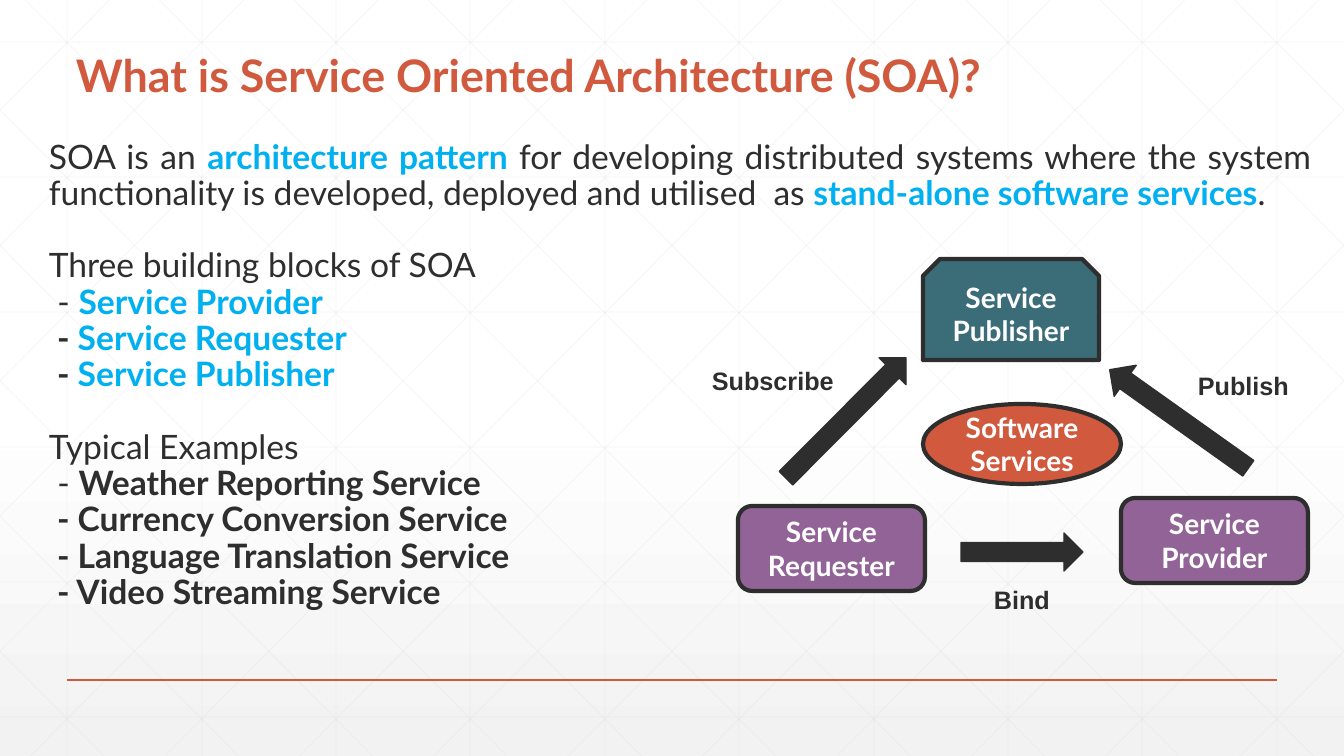
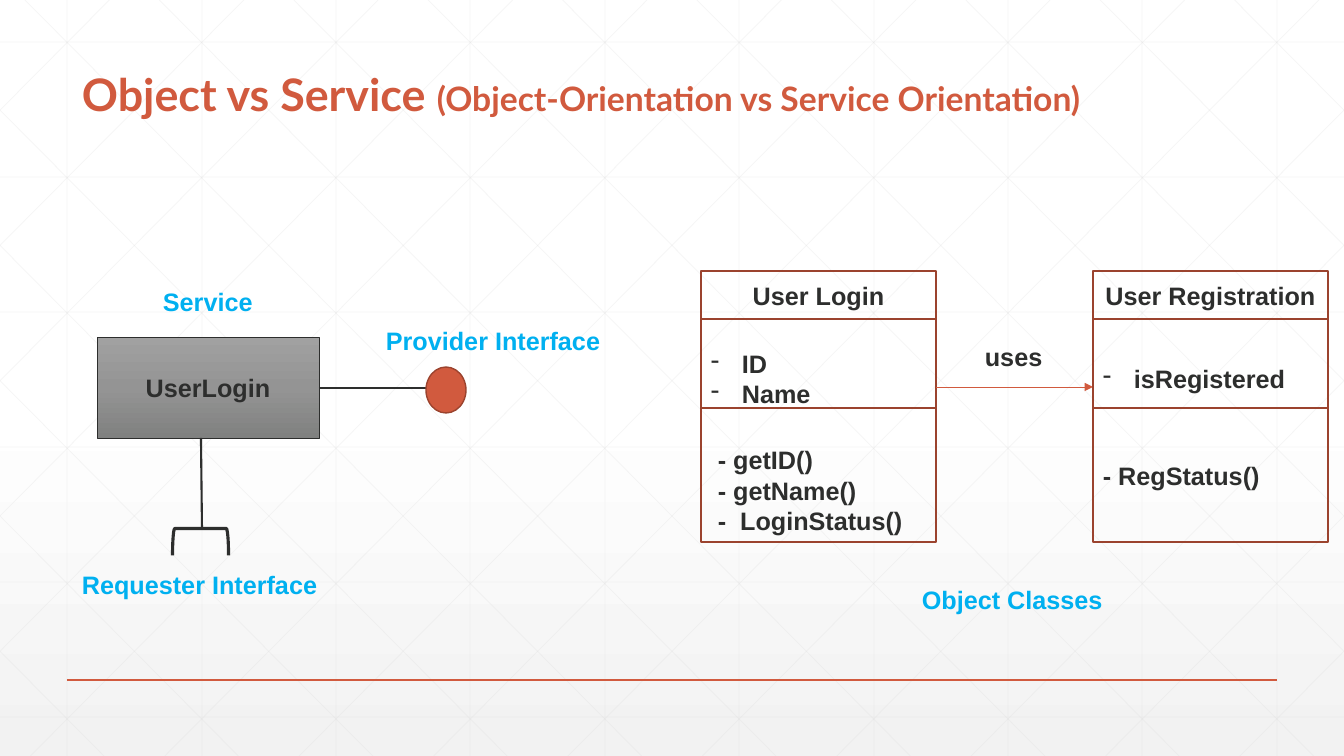
import lxml.etree
import pptx
import pptx.dml.color
import pptx.enum.shapes
import pptx.enum.text
import pptx.oxml.ns
import pptx.util

EMU_PER_PX = 914400 / 100.8
WIDTH, HEIGHT = 1344, 756

RGB = pptx.dml.color.RGBColor
SHAPE = pptx.enum.shapes.MSO_SHAPE
ALIGN = pptx.enum.text.PP_ALIGN
ANCHOR = pptx.enum.text.MSO_ANCHOR
qn = pptx.oxml.ns.qn

INK = RGB(0x2D, 0x2E, 0x2D)
ACCENT = RGB(0xD1, 0x5A, 0x3E)
ACCENT_DARK = RGB(0x9B, 0x43, 0x2E)
SKY = RGB(0x00, 0xB0, 0xF0)
PURPLE = RGB(0x92, 0x63, 0x97)
TEAL = RGB(0x3B, 0x6D, 0x79)
WHITE = RGB(0xFF, 0xFF, 0xFF)
GRID = RGB(0xD9, 0xD9, 0xD9)
PALE = RGB(0xF2, 0xF2, 0xF2)
STEEL = [(0, RGB(0xA1, 0xA1, 0xA1)), (50, RGB(0x94, 0x94, 0x94)), (100, RGB(0x80, 0x81, 0x80))]
BACKDROP = [(0, WHITE), (53, WHITE), (100, PALE)]

HEADING_FONT, LABEL_FONT = "Lato", "Arial"


def px(length):
    return pptx.util.Emu(round(length * EMU_PER_PX))


class Slides:
    """Hold the deck, its style and the slide being drawn."""

    def __init__(self):
        self.deck = pptx.Presentation()
        self.deck.slide_width, self.deck.slide_height = px(WIDTH), px(HEIGHT)
        self.new_page()
        self.dress_master()

    def new_page(self):
        self.page = self.deck.slides.add_slide(self.deck.slide_layouts[6])

    def dress_master(self):
        master = self.deck.slide_master
        self.gradient(master.background.fill, master.element, BACKDROP)
        for column in range(10):
            x = round(67.2 + 134.4 * column)
            self.grid_line(x, 0, x, HEIGHT)
        for row in range(6):
            y = 42 + 135 * row
            self.grid_line(0, y, WIDTH, y)
        slope = 751 / HEIGHT
        for step in range(-5, 10):
            origin = 25 + 134.4 * step
            top = max(0, -origin / slope)
            bottom = min(HEIGHT, (WIDTH - origin) / slope)
            left, right = origin + slope * top, origin + slope * bottom
            self.grid_line(left, top, right, bottom)
            self.grid_line(WIDTH - left, top, WIDTH - right, bottom)
        self.line(67, 680, 1277, 680, ACCENT, 1)
        for number, shape in enumerate(list(self.page.shapes), 100):
            shape.element.nvCxnSpPr.cNvPr.set("id", str(number))
            master.element.cSld.spTree.append(shape.element)

    def gradient(self, fill, owner, stops):
        fill.gradient()
        fill.gradient_angle = 270
        stop_list = owner.find(".//" + qn("a:gsLst"))
        for stop in list(stop_list):
            stop_list.remove(stop)
        for position, color in stops:
            stop = lxml.etree.SubElement(stop_list, qn("a:gs"), pos=str(position * 1000))
            lxml.etree.SubElement(stop, qn("a:srgbClr"), val=str(color))

    def line(self, x1, y1, x2, y2, color, weight, arrow=False):
        line = self.page.shapes.add_connector(
            pptx.enum.shapes.MSO_CONNECTOR.STRAIGHT, px(x1), px(y1), px(x2), px(y2))
        line.line.color.rgb = color
        line.line.width = pptx.util.Pt(weight)
        properties = line.element.spPr
        if arrow:
            lxml.etree.SubElement(properties.find(qn("a:ln")), qn("a:tailEnd"), type="triangle")
        lxml.etree.SubElement(properties, qn("a:effectLst"))
        return line

    def grid_line(self, x1, y1, x2, y2):
        line = self.line(x1, y1, x2, y2, GRID, 0.5)
        color = line.element.spPr.find(".//" + qn("a:srgbClr"))
        lxml.etree.SubElement(color, qn("a:alpha"), val="25000")

    def shape(self, kind, left, top, width, height, fill, outline, weight, rotation=0):
        shape = self.page.shapes.add_shape(kind, px(left), px(top), px(width), px(height))
        shape.shadow.inherit = False
        shape.rotation = rotation
        if fill is None:
            shape.fill.background()
        elif isinstance(fill, list):
            self.gradient(shape.fill, shape.element, fill)
        else:
            shape.fill.solid()
            shape.fill.fore_color.rgb = fill
        shape.line.color.rgb = outline
        shape.line.width = pptx.util.Pt(weight)
        return shape

    def text_box(self, left, top, width, height, wrap=True):
        box = self.page.shapes.add_textbox(px(left), px(top), px(width), px(height))
        box.text_frame.word_wrap = wrap
        return box

    def paragraph(self, box, first, align=ALIGN.LEFT, spacing=None, before=0):
        frame = box.text_frame
        para = frame.paragraphs[0] if first else frame.add_paragraph()
        para.alignment = align
        if spacing:
            para.line_spacing = spacing
        if before:
            para.space_before = pptx.util.Pt(before)
        return para

    def run(self, para, text, size=18, color=INK, bold=True, font=LABEL_FONT):
        span = para.add_run()
        span.text = text
        span.font.size = pptx.util.Pt(size)
        span.font.name = font
        span.font.bold = bold
        span.font.color.rgb = color

    def title(self, left, bottom, *parts):
        box = self.text_box(left, 0, 1202, bottom)
        box.text_frame.vertical_anchor = ANCHOR.BOTTOM
        para = self.paragraph(box, True, spacing=0.9)
        for text, size in parts:
            self.run(para, text, size, ACCENT, font=HEADING_FONT)

    def body(self, left, top, width, height, paragraphs):
        box = self.text_box(left, top, width, height)
        for index, (before, parts) in enumerate(paragraphs):
            para = self.paragraph(box, index == 0, ALIGN.JUSTIFY, 0.9, before)
            for text, color, bold in parts:
                self.run(para, text, 24, color, bold, HEADING_FONT)

    def label(self, text, left, top, width, color=INK):
        box = self.text_box(left, top, width, 40, wrap=False)
        self.run(self.paragraph(box, True), text, color=color)

    def caption(self, shape, text, **style):
        shape.text_frame.word_wrap = True
        shape.text_frame.vertical_anchor = ANCHOR.MIDDLE
        self.run(self.paragraph(shape, True, ALIGN.CENTER), text, **style)

    def node(self, kind, text, left, top, width, height, fill):
        node = self.shape(kind, left, top, width, height, fill, INK, 3)
        self.caption(node, text, size=20, color=WHITE, font=HEADING_FONT)

    def block_arrow(self, left, top, height, rotation):
        self.shape(SHAPE.UP_ARROW, left, top, 38, height, INK, INK, 1, rotation)

    def compartment(self, left, top, height, lines, bulleted, inset):
        cell = self.shape(SHAPE.RECTANGLE, left, top, 235, height, None, ACCENT_DARK, 1)
        frame = cell.text_frame
        frame.word_wrap = True
        frame.vertical_anchor = ANCHOR.MIDDLE
        frame.margin_top = px(inset)
        for index, text in enumerate(lines):
            para = self.paragraph(cell, index == 0)
            self.run(para, text)
            if bulleted:
                properties = para._p.get_or_add_pPr()
                properties.set("marL", str(px(31)))
                properties.set("indent", str(-px(31)))
                lxml.etree.SubElement(properties, qn("a:buChar"), char="-")

    def class_box(self, left, name, attributes, methods, methods_inset):
        header = self.shape(SHAPE.RECTANGLE, left, 271, 235, 48, None, ACCENT_DARK, 1)
        self.caption(header, name)
        self.compartment(left, 319, 89, attributes, True, 35)
        self.compartment(left, 408, 134, methods, False, methods_inset)


def draw_architecture(slides):
    slides.title(66, 107, ("What is Service Oriented Architecture (SOA)?", 32))
    gap = 26
    paragraphs = [
        (0, [("SOA is an ", INK, False),
             ("architecture pattern", SKY, True),
             (" for developing distributed systems where the system functionality "
              "is developed, deployed and utilised  as ", INK, False),
             ("stand-alone software services", SKY, True),
             (".", INK, False)]),
        (gap, [("Three building blocks of SOA", INK, False)]),
    ]
    for index, role in enumerate(["Provider", "Requester", "Publisher"]):
        paragraphs.append((0, [(" - ", INK, index > 0), (f"Service {role}", SKY, True)]))
    paragraphs.append((gap, [("Typical Examples", INK, False)]))
    examples = ["Weather Reporting", "Currency Conversion", "Language Translation", "Video Streaming"]
    for index, example in enumerate(examples):
        paragraphs.append((0, [(" - ", INK, index > 0), (f"{example} Service", INK, True)]))
    slides.body(39, 135, 1282, 533, paragraphs)

    rounded = SHAPE.FLOWCHART_ALTERNATE_PROCESS
    slides.node(rounded, "Service Provider", 1121, 498, 187, 85, PURPLE)
    slides.node(rounded, "Service Requester", 738, 506, 187, 85, PURPLE)
    slides.node(SHAPE.SNIP_2_SAME_RECTANGLE, "Service Publisher", 923, 259, 176, 101, TEAL)
    slides.node(SHAPE.OVAL, "Software Services", 923, 404, 198, 80, ACCENT)
    slides.block_arrow(1160, 334, 170, 305.4)
    slides.block_arrow(827, 333, 170, 44.9)
    slides.block_arrow(1003, 491, 122, 90)
    slides.label("Publish", 1188, 365, 112)
    slides.label("Subscribe", 702, 360, 143)
    slides.label("Bind", 984, 579, 77)


def draw_comparison(slides):
    slides.title(72, 126, ("Object vs Service ", 32),
                 ("(Object-Orientation vs Service Orientation)", 24))
    slides.class_box(701, "User Login", ["ID", "Name"],
                     [" - getID()", " - getName()", " -  LoginStatus()"], 35)
    slides.line(936, 387, 1093, 387, ACCENT, 0.5, arrow=True)
    slides.class_box(1093, "User Registration", ["isRegistered"], ["- RegStatus()"], 5)

    service = slides.shape(SHAPE.RECTANGLE, 97, 337, 222, 101, STEEL, INK, 0.5)
    slides.caption(service, "UserLogin")
    slides.line(319, 388, 433, 388, INK, 1.5)
    slides.shape(SHAPE.FLOWCHART_CONNECTOR, 426, 367, 40, 46, ACCENT, ACCENT_DARK, 1)
    slides.line(201, 438, 202, 529, INK, 1.5)
    slides.shape(SHAPE.LEFT_BRACKET, 187, 514, 27, 56, None, INK, 2.25, 90)

    slides.label("Requester Interface", 72, 564, 258, SKY)
    slides.label("Object Classes", 912, 579, 203, SKY)
    slides.label("Service", 153, 281, 111, SKY)
    slides.label("Provider Interface", 376, 320, 237, SKY)
    slides.label("uses", 975, 336, 79)


def main():
    slides = Slides()
    draw_architecture(slides)
    slides.new_page()
    draw_comparison(slides)
    slides.deck.save("out.pptx")


if __name__ == "__main__":
    main()
